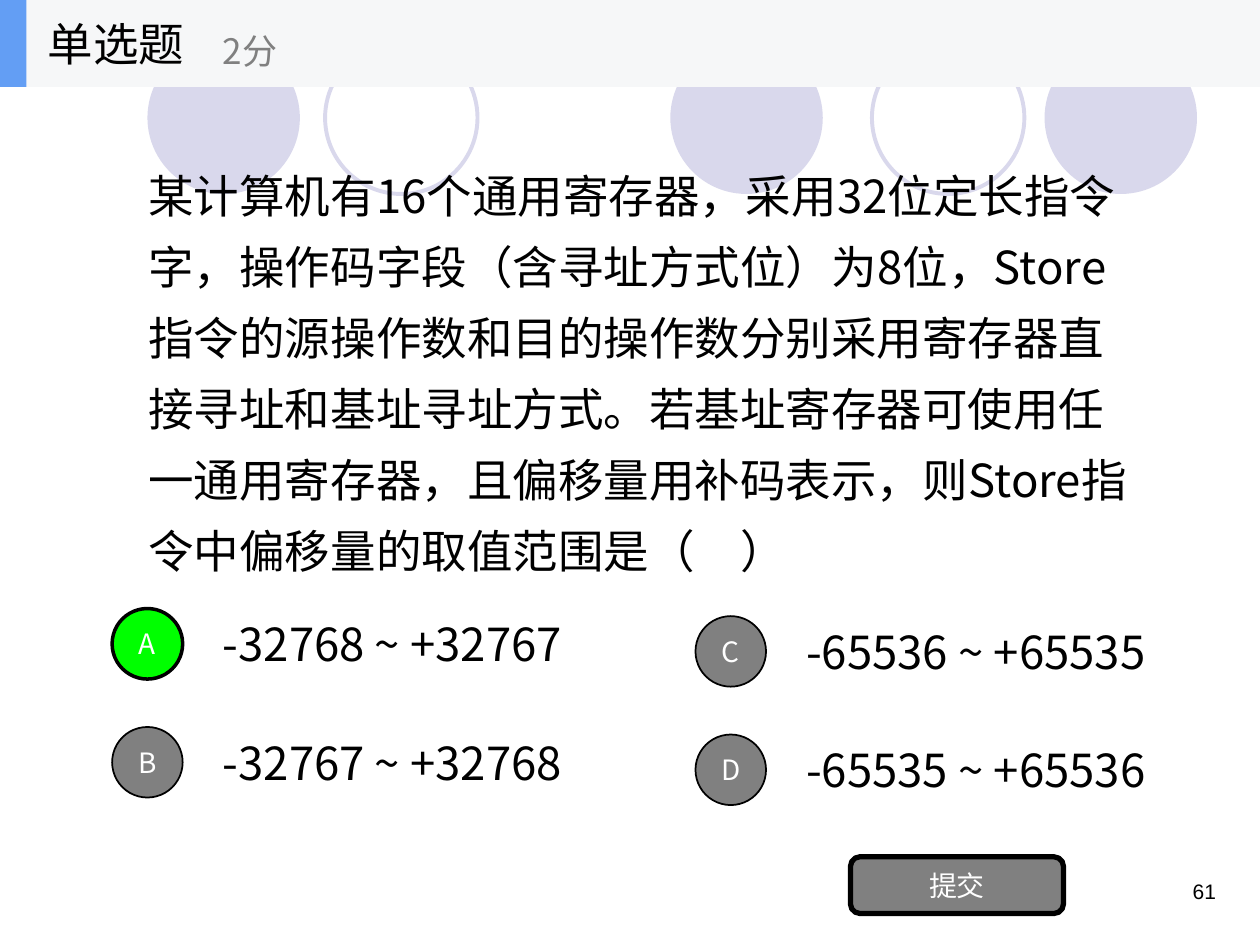
from lxml import etree
from pptx import Presentation
from pptx.dml.color import RGBColor
from pptx.enum import shapes, text
from pptx.oxml.ns import qn
from pptx.util import Inches, Pt

CJK = "Noto Sans CJK SC"
BLACK, WHITE, GRAY, LILAC = "000000", "FFFFFF", "808080", "D9D8EC"
SHAPE, ALIGN, ANCHOR = shapes.MSO_SHAPE, text.PP_ALIGN, text.MSO_ANCHOR

deck = Presentation()
deck.slide_width, deck.slide_height = Inches(10), Inches(7.5)
slide = deck.slides.add_slide(deck.slide_layouts[6])


def write(holder, words, size, color, align=ALIGN.LEFT, anchor=ANCHOR.MIDDLE, font=CJK):
    frame = holder.text_frame
    frame.text = words
    frame.word_wrap = True
    frame.vertical_anchor = anchor
    paragraph = frame.paragraphs[0]
    paragraph.alignment = align
    run = paragraph.runs[0]
    run.font.size = Pt(size)
    run.font.name = font
    run.font.color.rgb = RGBColor.from_string(color)
    etree.SubElement(run.font._element, qn("a:ea"), typeface=font)
    return paragraph


def draw(kind, box, fill=None, line=None, width=1):
    shape = slide.shapes.add_shape(kind, *map(Inches, box))
    shape.shadow.inherit = False
    if fill:
        shape.fill.solid()
        shape.fill.fore_color.rgb = RGBColor.from_string(fill)
    else:
        shape.fill.background()
    if line:
        shape.line.color.rgb = RGBColor.from_string(line)
        shape.line.width = Pt(width)
    else:
        shape.line.fill.background()
    return shape


for left in (1.17, 5.32, 8.29):
    draw(SHAPE.OVAL, (left, 0.33, 1.21, 1.21), fill=LILAC)
for left in (2.58, 6.92):
    draw(SHAPE.OVAL, (left, 0.33, 1.21, 1.21), line=LILAC, width=2.25)

page_number = slide.shapes.add_textbox(Inches(7.42), Inches(6.92), Inches(2.33), Inches(0.5))
write(page_number, "61", 12, BLACK, ALIGN.RIGHT, ANCHOR.TOP, "Arial")

question = slide.shapes.add_textbox(Inches(1.08), Inches(1.17), Inches(8), Inches(3.45))
question_line = write(
    question,
    "某计算机有16个通用寄存器，采用32位定长指令字，操作码字段（含寻址方式位）为8位，"
    "Store指令的源操作数和目的操作数分别采用寄存器直接寻址和基址寻址方式。"
    "若基址寄存器可使用任一通用寄存器，且偏移量用补码表示，则"
    "Store指令中偏移量的取值范围是（　）",
    26, BLACK)
question_line.line_spacing = 1.3

options = [
    ("A", "-32768 ~ +32767", 0.89, 1.67, 4.76),
    ("B", "-32767 ~ +32768", 0.89, 1.67, 5.7),
    ("C", "-65536 ~ +65535", 5.52, 6.3, 4.82),
    ("D", "-65535 ~ +65536", 5.52, 6.3, 5.76),
]
for letter, answer, badge_left, answer_left, top in options:
    answer_box = slide.shapes.add_textbox(
        Inches(answer_left), Inches(top), Inches(3.5), Inches(0.7))
    write(answer_box, answer, 26, BLACK)
    correct = letter == "A"
    badge = draw(SHAPE.OVAL, (badge_left, top + 0.07, 0.56, 0.56),
                 "00FF00" if correct else GRAY, BLACK, 2 if correct else 1)
    write(badge, letter, 16, WHITE, ALIGN.CENTER)

submit = draw(SHAPE.ROUNDED_RECTANGLE, (6.75, 6.8, 1.69, 0.45), GRAY, BLACK, 3)
write(submit, "提交", 16, WHITE, ALIGN.CENTER)

draw(SHAPE.RECTANGLE, (0, 0, 10, 0.69), "F6F7F8")
draw(SHAPE.RECTANGLE, (0, 0, 0.21, 0.69), "639EF4")
question_type = slide.shapes.add_textbox(Inches(0.28), 0, Inches(2.08), Inches(0.69))
write(question_type, "单选题", 26, BLACK)
score = slide.shapes.add_textbox(Inches(1.67), Inches(0.12), Inches(2.5), Inches(0.56))
write(score, "2分", 20, GRAY)

deck.save("out.pptx")
